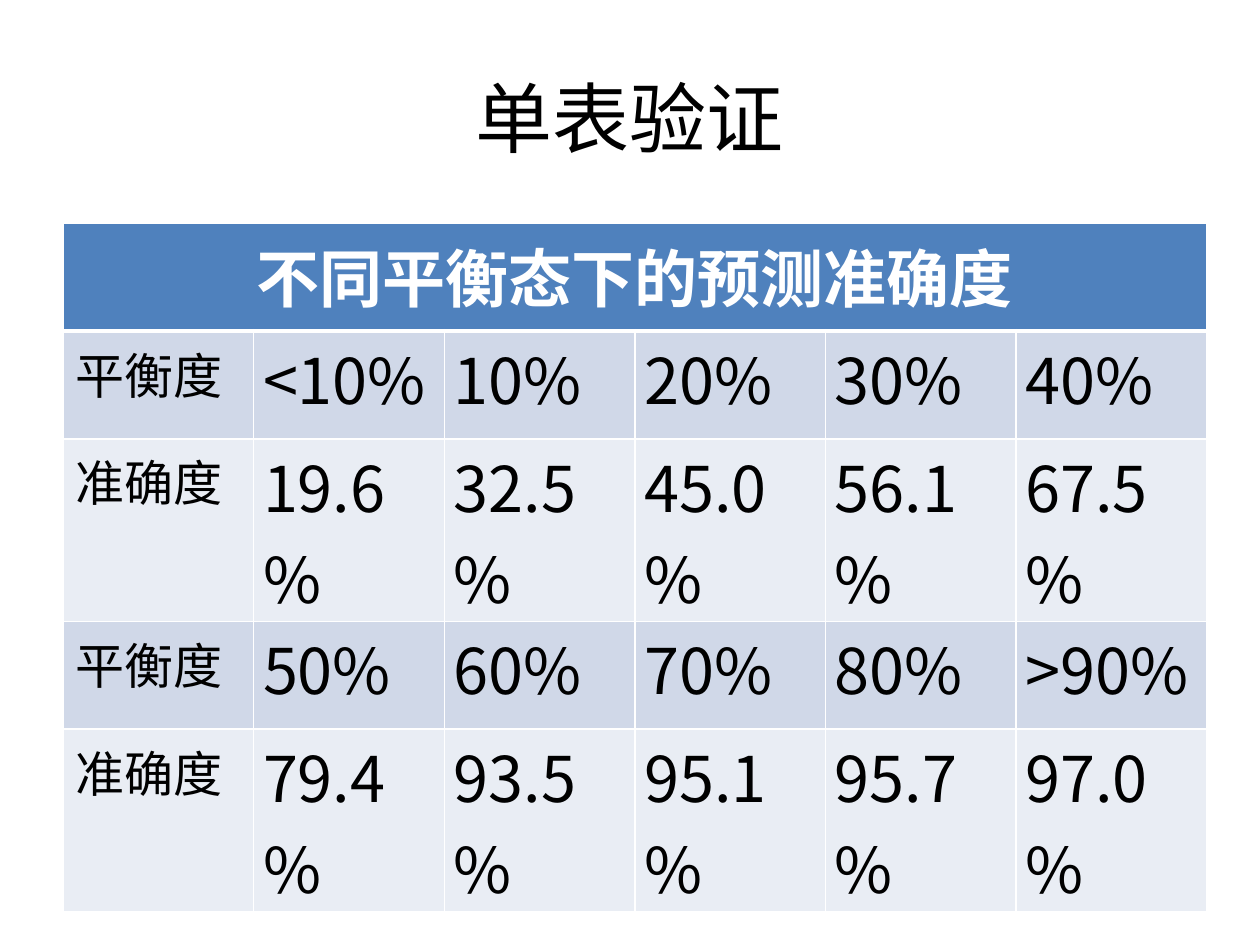
from lxml import etree
from pptx import Presentation
from pptx.dml.color import RGBColor
from pptx.enum import text
from pptx.oxml import ns
from pptx.util import Pt

TITLE = "单表验证"
HEADING = "不同平衡态下的预测准确度"
ROWS = [
    ("平衡度", "<10%", "10%", "20%", "30%", "40%"),
    ("准确度", "19.6%", "32.5%", "45.0%", "56.1%", "67.5%"),
    ("平衡度", "50%", "60%", "70%", "80%", ">90%"),
    ("准确度", "79.4%", "93.5%", "95.1%", "95.7%", "97.0%"),
]
BANDS = ("D0D8E8", "E9EDF4")
CJK = "Noto Sans CJK SC"
COLUMN_WIDTH = 108.96
HEADING_HEIGHT = 61.65
BAND_HEIGHTS = (61.65, 104.2)
TITLE_FORMAT = {"size": Pt(44), "name": CJK, "bold": False}
HEADING_FORMAT = {"size": Pt(36), "name": "Calibri", "bold": True}
LABEL_FORMAT = {"size": Pt(28), "name": CJK, "bold": False}
VALUE_FORMAT = {"size": Pt(36), "name": CJK, "bold": False}
VALUE_MARGINS = {"margin_left": Pt(5.4), "margin_right": Pt(5.04),
                 "margin_top": 0, "margin_bottom": 0}


def color(value):
    return RGBColor.from_string(value)


def set_all(target, values):
    for key, value in values.items():
        setattr(target, key, value)


def write(frame, words, values, ink="000000", align=text.PP_ALIGN.LEFT):
    paragraph = frame.paragraphs[0]
    paragraph.alignment = align
    run = paragraph.add_run()
    run.text = words
    set_all(run.font, values)
    run.font.color.rgb = color(ink)
    east_asian = etree.SubElement(run._r.get_or_add_rPr(), ns.qn("a:ea"))
    east_asian.set("typeface", CJK)


def add_borders(cell, top=1, bottom=1):
    properties = cell._tc.get_or_add_tcPr()
    for side, width in {"L": 1, "R": 1, "T": top, "B": bottom}.items():
        line = etree.SubElement(properties, ns.qn("a:ln" + side), w=str(Pt(width)))
        fill = etree.SubElement(line, ns.qn("a:solidFill"))
        etree.SubElement(fill, ns.qn("a:srgbClr"), val="FFFFFF")


def paint(cell, value):
    cell.fill.solid()
    cell.fill.fore_color.rgb = color(value)


deck = Presentation()
deck.slide_width, deck.slide_height = Pt(720), Pt(540)
slide = deck.slides.add_slide(deck.slide_layouts[6])

title = slide.shapes.add_textbox(Pt(36), Pt(21.6), Pt(648), Pt(90)).text_frame
set_all(title, {"word_wrap": True, "vertical_anchor": text.MSO_ANCHOR.MIDDLE})
write(title, TITLE, TITLE_FORMAT, align=text.PP_ALIGN.CENTER)

column_count = len(ROWS[0])
heights = [HEADING_HEIGHT] + [BAND_HEIGHTS[index % 2] for index in range(len(ROWS))]
table = slide.shapes.add_table(
    len(heights), column_count, Pt(36), Pt(127.6),
    Pt(COLUMN_WIDTH * column_count), Pt(sum(heights))).table
for column in table.columns:
    column.width = Pt(COLUMN_WIDTH)
for row, height in zip(table.rows, heights):
    row.height = Pt(height)

for index in range(column_count):
    cell = table.cell(0, index)
    add_borders(cell, bottom=3)
    paint(cell, "4F81BD")
heading = table.cell(0, 0)
heading.merge(table.cell(0, column_count - 1))
write(heading.text_frame, HEADING, HEADING_FORMAT, "FFFFFF", text.PP_ALIGN.CENTER)

for row_index, values in enumerate(ROWS):
    for column_index, words in enumerate(values):
        cell = table.cell(row_index + 1, column_index)
        add_borders(cell, top=1 if row_index else 3)
        paint(cell, BANDS[row_index % 2])
        if column_index:
            set_all(cell, VALUE_MARGINS)
        write(cell.text_frame, words, VALUE_FORMAT if column_index else LABEL_FORMAT)

deck.save("out.pptx")
